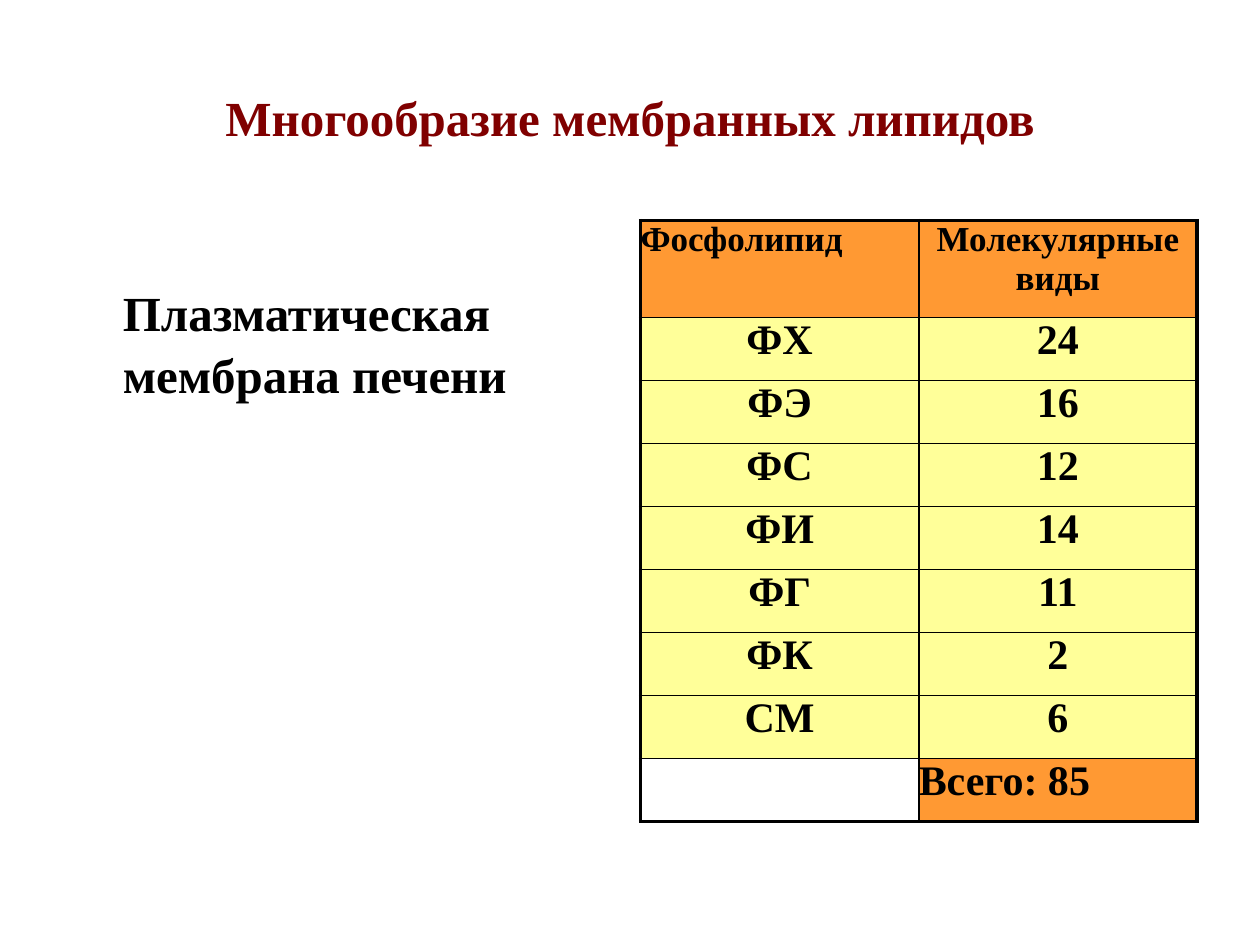
"""Build a slide on the variety of membrane lipids with a phospholipid table."""
from dataclasses import dataclass

from lxml import etree
from pptx import Presentation
from pptx import util as u
from pptx.dml.color import RGBColor
from pptx.enum import text
from pptx.oxml import ns

LEFT, CENTER = text.PP_ALIGN.LEFT, text.PP_ALIGN.CENTER


@dataclass(frozen=True)
class Theme:
    font: str = "Times New Roman"
    title: str = "800000"
    ink: str = "000000"
    accent: str = "FF9933"
    pale: str = "FFFF99"
    large: float = 28
    medium: float = 24
    small: float = 20
    thin: float = 1
    thick: float = 2.25


T = Theme()


def write(tf, content, size=T.medium, color=T.ink, align=LEFT, spacing=None):
    p = tf.paragraphs[0]
    p.alignment = align
    p.line_spacing = spacing
    r = p.add_run()
    r.text = content
    r.font.name, r.font.size, r.font.bold = T.font, u.Pt(size), True
    r.font.color.rgb = RGBColor.from_string(color)


class Deck:
    def __init__(self, theme, width, height):
        self.theme = theme
        self.prs = Presentation()
        self.prs.slide_width, self.prs.slide_height = u.Pt(width), u.Pt(height)
        self.s = self.prs.slides.add_slide(self.prs.slide_layouts[6])

    def text_box(self, content, box, anchor, inset_left=7.2, inset_top=3.6, **fmt):
        tf = self.s.shapes.add_textbox(*map(u.Pt, box)).text_frame
        tf.word_wrap = True
        tf.vertical_anchor = anchor
        tf.margin_left, tf.margin_top = u.Pt(inset_left), u.Pt(inset_top)
        write(tf, content, **fmt)

    def border(self, cell, side, width):
        tc_pr = cell._tc.get_or_add_tcPr()
        ln = etree.SubElement(tc_pr, ns.qn(f"a:ln{side}"), w=str(u.Pt(width)))
        fill = etree.SubElement(ln, ns.qn("a:solidFill"))
        etree.SubElement(fill, ns.qn("a:srgbClr"), val=self.theme.ink)

    def table(self, rows, left, top, col_width, heights):
        n_rows, n_cols = len(rows), len(rows[0])
        sp = self.s.shapes.add_table(n_rows, n_cols, u.Pt(left), u.Pt(top),
                                     u.Pt(col_width * n_cols), u.Pt(sum(heights)))
        tbl = sp.table
        tbl.first_row = tbl.horz_banding = False
        for col in tbl.columns:
            col.width = u.Pt(col_width)
        for i, (row, height) in enumerate(zip(rows, heights)):
            tbl.rows[i].height = u.Pt(height)
            for j, (content, fill, fmt) in enumerate(row):
                cell = tbl.cell(i, j)
                cell.margin_left = cell.margin_right = 0
                cell.margin_top = cell.margin_bottom = 0
                outer = {"L": j == 0, "R": j == n_cols - 1,
                         "T": i == 0, "B": i == n_rows - 1}
                for side, edge in outer.items():
                    self.border(cell, side, self.theme.thick if edge else self.theme.thin)
                if fill:
                    cell.fill.solid()
                    cell.fill.fore_color.rgb = RGBColor.from_string(fill)
                else:
                    cell.fill.background()
                if content:
                    write(cell.text_frame, content, **fmt)


def main():
    deck = Deck(T, 720, 540)
    deck.text_box("Многообразие мембранных липидов", (36, 21.6, 648, 90),
                  text.MSO_ANCHOR.MIDDLE, size=T.large, color=T.title, align=CENTER)
    deck.text_box("Плазматическая мембрана печени", (36, 126, 318, 356.4),
                  text.MSO_ANCHOR.TOP, inset_left=34.2, inset_top=34,
                  size=T.large, spacing=1.05)

    counts = {"ФХ": 24, "ФЭ": 16, "ФС": 12, "ФИ": 14, "ФГ": 11, "ФК": 2, "СМ": 6}
    header = [("Фосфолипид", T.accent, dict(size=T.small)),
              ("Молекулярные виды", T.accent, dict(size=T.small, align=CENTER))]
    body = [[(str(v), T.pale, dict(align=CENTER)) for v in item]
            for item in counts.items()]
    total = [("", None, {}), ("Всего: 85", T.accent, {})]
    rows = [header, *body, total]
    deck.table(rows, 366, 126, 159, [55.4] + [36] * (len(rows) - 1))
    deck.prs.save("out.pptx")


if __name__ == "__main__":
    main()
